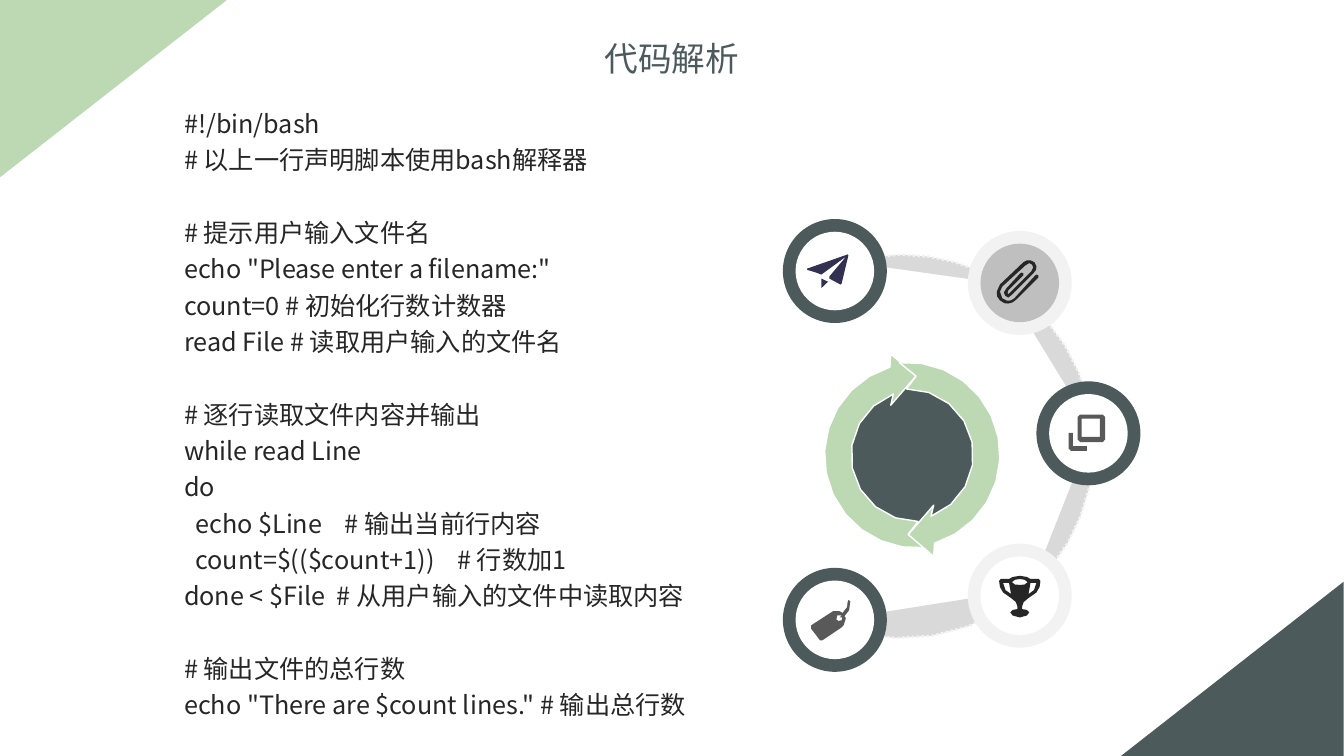
"""Build a slide that walks through a bash line-counting script beside a ring of icons."""
import dataclasses
import math

import lxml.etree
import pptx
import pptx.dml.color
import pptx.enum.dml
import pptx.enum.shapes
import pptx.enum.text
import pptx.oxml.ns
import pptx.util

Cm = pptx.util.Cm
Pt = pptx.util.Pt
Kind = pptx.enum.shapes.MSO_SHAPE
Align = pptx.enum.text.PP_ALIGN
Rgb = pptx.dml.color.RGBColor.from_string
qn = pptx.oxml.ns.qn


@dataclasses.dataclass(frozen=True)
class Theme:
    font: str = "Noto Sans CJK SC"
    head: int = 24
    code: int = 18
    pitch: float = 25.94
    slate: str = "4D5A5C"
    green: str = "BCD9B4"
    white: str = "FFFFFF"
    pale: str = "F2F2F2"
    band: str = "D9D9D9"
    mid: str = "BFBFBF"
    gray: str = "595959"
    ink: str = "262626"
    navy: str = "333151"


theme = Theme()


def write(text, frame, size, color, align=Align.LEFT, pitch=None, wrap=True):
    frame.word_wrap = wrap
    frame.auto_size = pptx.enum.text.MSO_AUTO_SIZE.NONE
    frame.margin_left = frame.margin_right = Cm(0.25)
    frame.margin_top = frame.margin_bottom = Cm(0.13)
    para = frame.paragraphs[0]
    for b, block in enumerate(text.split("\n\n")):
        for n, line in enumerate(block.split("\n")):
            if b or n:
                para = frame.add_paragraph()
            props = para._p.get_or_add_pPr()
            props.set("marL", "0")
            props.set("indent", "0")
            lxml.etree.SubElement(props, qn("a:buNone"))
            para.alignment = align
            para.space_before = Pt(pitch if b and not n else 0)
            if pitch:
                para.line_spacing = Pt(pitch)
            run = para.add_run()
            run.text = line
            run.font.size = Pt(size)
            run.font.color.rgb = Rgb(color)
            run.font.name = theme.font
            east = lxml.etree.SubElement(run._r.get_or_add_rPr(), qn("a:ea"))
            east.set("typeface", theme.font)


def draw(form, fill, box=None, turn=0, edge=None, width=1, dash=None, shut=True):
    if box:
        shape = shapes.add_shape(form, *[Cm(v) for v in box])
        shape.rotation = turn
    else:
        loops = [[(Cm(x), Cm(y)) for x, y in loop] for loop in form]
        pen = shapes.build_freeform(*loops[0][0])
        for n, loop in enumerate(loops):
            if n:
                pen.move_to(*loop[0])
            pen.add_line_segments(loop[1:], close=shut)
        shape = pen.convert_to_shape()
    shape.shadow.inherit = False
    shape.fill.solid()
    shape.fill.fore_color.rgb = Rgb(fill)
    if edge:
        shape.line.color.rgb = Rgb(edge)
        shape.line.width = Pt(width)
        shape.line.dash_style = dash
    else:
        shape.line.fill.background()


deck = pptx.Presentation()
deck.slide_width = Cm(33.87)
deck.slide_height = Cm(19.05)
slide = deck.slides.add_slide(deck.slide_layouts[1])
shapes = slide.shapes

draw(Kind.RIGHT_TRIANGLE, theme.green, box=(0.63, -0.63, 4.47, 5.72), turn=90)
draw(Kind.RIGHT_TRIANGLE, theme.slate, box=(28.86, 14.05, 4.39, 5.61), turn=270)

ring_x, ring_y, ring_r, steps = 22.73, 11.25, 4.83, 6
stops = [-106, -58, -5, 48, 114]
for start, end in zip(stops, stops[1:]):
    arc = []
    for n in range(steps + 1):
        rad = math.radians(start + (end - start) * n / steps)
        arc.append((ring_x + ring_r * math.cos(rad), ring_y + ring_r * math.sin(rad)))
    draw([arc], theme.band, edge=theme.pale, width=1.75,
         dash=pptx.enum.dml.MSO_LINE.ROUND_DOT, shut=False)

draw(Kind.OVAL, theme.slate, box=(20.96, 9.55, 3.96, 3.99))

hub_x, hub_y = 23.11, 11.48
arcs = []
for radius, angles in ((1.66, range(89, 250, 20)), (2.33, range(253, 84, -14))):
    arcs.append([(hub_x + radius * math.cos(math.radians(a)),
                  hub_y + radius * math.sin(math.radians(a))) for a in angles])
tip = [(22.45, 10.21), (23.09, 9.47), (22.45, 8.92)]
arrow = [(22.89, 13.46)] + arcs[0] + tip + arcs[1]
turned = [(2 * 22.99 - x, 2 * 11.47 - y) for x, y in arrow]
for loop in (arrow, turned):
    draw([loop], theme.green, edge=theme.white)

plane = [
    [(-34, 43), (-17, 27), (-34, 19)],
    [(33, -42), (-70, -6), (-70, -3), (-47, 4), (-34, 9), (29, -37), (-14, 14),
     (-14, 19), (14, 34), (17, 32), (34, -39)],
]
clip = [[
    (-29, 52), (-39, 51), (-50, 44), (-57, 34), (-58, 22), (-50, 4), (9, -52), (18, -57),
    (27, -57), (37, -52), (42, -42), (41, -33), (34, -24), (-19, 29), (-29, 37), (-37, 32),
    (-40, 24), (-34, 14), (1, -24), (5, -26), (9, -24), (9, -19), (-29, 19), (-31, 26),
    (-28, 28), (-24, 24), (29, -29), (34, -39), (31, -46), (24, -50), (14, -44), (-44, 9),
    (-50, 22), (-44, 39), (-32, 45), (-22, 44), (-14, 39), (39, -19), (43, -21), (47, -19),
    (47, -14), (-9, 42), (-18, 49),
]]
copies = [
    [(-50, -1), (-50, 38), (-44, 44), (-4, 44), (-4, 32), (-39, 32), (-39, -1)],
    [(-17, -37), (-17, 9), (29, 9), (29, -37)],
    [(-21, -47), (36, -47), (42, -41), (42, 16), (36, 22), (-21, 22), (-27, 16), (-27, -41)],
]
half = [(0, -50), (18, -47), (27, -42), (48, -42), (52, -37), (50, -22), (42, -8), (22, 6),
        (10, 16), (6, 27), (6, 34), (18, 36), (24, 42), (18, 50), (0, 55)]
grip = [(42, -32), (27, -32), (22, -4), (36, -14)]
mouth = [(20, -34), (12, -40), (0, -42), (-12, -40), (-20, -34), (-12, -28), (0, -27), (12, -28)]
cup = [half + [(-x, y) for x, y in half[-2:0:-1]], grip, [(-x, y) for x, y in grip], mouth]
tag = [
    [(39, -47), (34, -50), (32, -44), (31, -32), (19, -17), (17, -19), (11, -22), (-4, -22),
     (-9, -19), (-60, 14), (-60, 22), (-37, 52), (-32, 52), (17, 19), (22, 14), (27, -1),
     (27, -6), (24, -9), (36, -24)],
    [(17, 1), (9, 3), (4, -1), (6, -11), (17, -11), (12, -6), (19, -6)],
]

badges = [
    (21.04, 15.62, theme.slate, theme.white, tag, theme.gray),
    (25.7, 15.01, theme.pale, theme.white, cup, theme.ink),
    (25.7, 7.13, theme.pale, theme.mid, clip, theme.ink),
    (27.43, 10.92, theme.slate, theme.white, copies, theme.gray),
    (21.04, 6.83, theme.slate, theme.white, plane, theme.navy),
]
for x, y, rim, disc, icon, tint in badges:
    for size, fill in ((2.62, rim), (1.98, disc)):
        draw(Kind.OVAL, fill, box=(x - size / 2, y - size / 2, size, size))
    draw([[(x + u / 100, y + v / 100) for u, v in loop] for loop in icon], tint)

code = """#!/bin/bash
# 以上一行声明脚本使用bash解释器

# 提示用户输入文件名
echo "Please enter a filename:"
count=0 # 初始化行数计数器
read File # 读取用户输入的文件名

# 逐行读取文件内容并输出
while read Line
do
  echo $Line    # 输出当前行内容
  count=$(($count+1))    # 行数加1
done < $File  # 从用户输入的文件中读取内容

# 输出文件的总行数
echo "There are $count lines." # 输出总行数"""
body = slide.placeholders[1]
body.left, body.top, body.width, body.height = Cm(4.39), Cm(2.45), Cm(19.23), Cm(15.88)
write(code, frame=body.text_frame, size=theme.code, color=theme.ink, pitch=theme.pitch)

title = shapes.title
title.left, title.top, title.width, title.height = Cm(14.98), Cm(0.83), Cm(3.91), Cm(1.27)
write("代码解析", frame=title.text_frame, size=theme.head, color=theme.slate,
      align=Align.CENTER, wrap=False)

deck.save("out.pptx")
